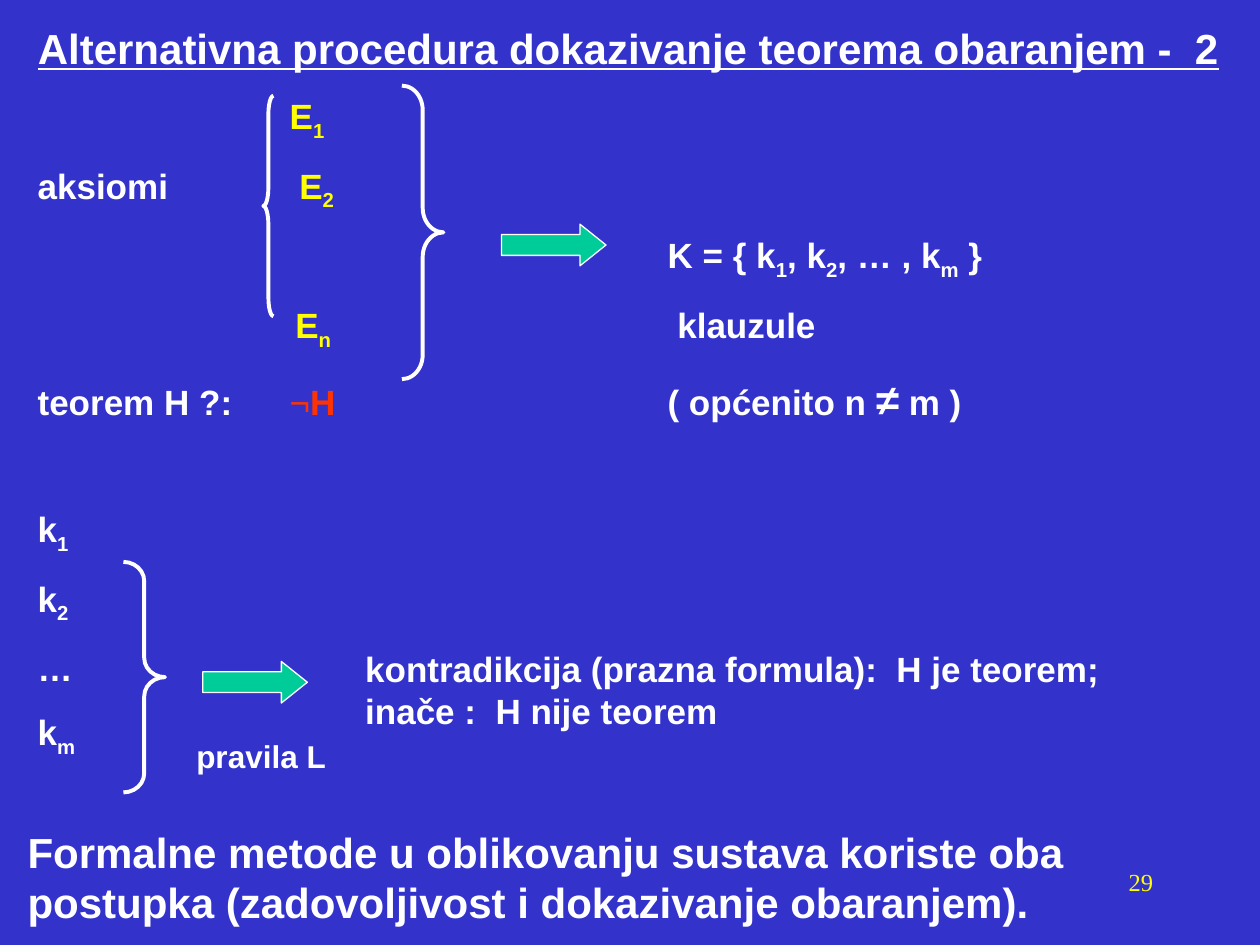
from lxml.etree import SubElement
from pptx import Presentation
from pptx.dml.color import RGBColor
from pptx.enum.shapes import MSO_SHAPE as Shape
from pptx.enum.text import MSO_ANCHOR as Anchor, PP_ALIGN as Align
from pptx.oxml.ns import qn
from pptx.util import Inches, Pt

BLUE = RGBColor(0x33, 0x33, 0xCC)
WHITE = RGBColor(0xFF, 0xFF, 0xFF)
YELLOW = RGBColor(0xFF, 0xFF, 0x00)
RED = RGBColor(0xFF, 0x33, 0x00)
GREEN = RGBColor(0x00, 0xCC, 0x99)


class SlideBuilder:
    font_name = "Arial"
    row_gap = Pt(12.5)

    def __init__(self, presentation):
        self.slide = presentation.slides.add_slide(presentation.slide_layouts[5])
        self.slide.background.fill.solid()
        self.slide.background.fill.fore_color.rgb = BLUE

    def format_run(self, run, size=20, color=WHITE, bold=True, name=font_name):
        run.font.name = name
        run.font.size = Pt(size)
        run.font.bold = bold
        run.font.color.rgb = color

    def title(self, text, left, top, width, height):
        title = self.slide.shapes.title
        title.left, title.top = Inches(left), Inches(top)
        title.width, title.height = Inches(width), Inches(height)
        title.text_frame.text = text
        title.text_frame.vertical_anchor = Anchor.TOP
        paragraph = title.text_frame.paragraphs[0]
        paragraph.alignment = Align.LEFT
        self.format_run(paragraph.runs[0], size=24)
        paragraph.runs[0].font.underline = True

    def text_box(self, left, top, width, height, wrap=True):
        box = self.slide.shapes.add_textbox(
            Inches(left), Inches(top), Inches(width), Inches(height))
        box.text_frame.word_wrap = wrap
        return box.text_frame

    def label(self, text, left, top, width, height, wrap=True, align=Align.LEFT, **style):
        frame = self.text_box(left, top, width, height, wrap)
        frame.text = text
        frame.paragraphs[0].alignment = align
        self.format_run(frame.paragraphs[0].runs[0], **style)

    def add_formula(self, paragraph, text, **style):
        """Add text in which an underscore makes the next character a subscript."""
        first, *others = text.split("_")
        pieces = [(first, False)]
        for part in others:
            pieces += [(part[0], True), (part[1:], False)]
        for piece, subscript in pieces:
            if piece:
                run = paragraph.add_run()
                run.text = piece
                self.format_run(run, **style)
                if subscript:
                    run.font._element.set("baseline", "-25000")

    def formula_rows(self, rows, tab_stops, left, top, width, height):
        frame = self.text_box(left, top, width, height)
        for index, (extra_gap, pieces) in enumerate(rows):
            paragraph = frame.add_paragraph() if index else frame.paragraphs[0]
            if index:
                paragraph.space_before = self.row_gap + Pt(extra_gap)
            tab_list = SubElement(paragraph._p.get_or_add_pPr(), qn("a:tabLst"))
            for stop in tab_stops:
                SubElement(tab_list, qn("a:tab"), pos=str(Inches(stop)), algn="l")
            for text, style in pieces:
                self.add_formula(paragraph, text, **style)

    def preset(self, kind, left, top, width, height, adjustments, line_width):
        shape = self.slide.shapes.add_shape(
            kind, Inches(left), Inches(top), Inches(width), Inches(height))
        shape.shadow.inherit = False
        for index, value in enumerate(adjustments):
            shape.adjustments[index] = value
        shape.line.color.rgb = WHITE
        shape.line.width = Pt(line_width)
        return shape

    def brace(self, kind, left, top, width, height):
        # Each curve takes a twelfth of the brace's height
        curve = height / width / 12
        self.preset(kind, left, top, width, height, (curve, 0.5), 2.25).fill.background()

    def arrow(self, left, top):
        shape = self.preset(Shape.RIGHT_ARROW, left, top, 0.83, 0.33, (0.5, 0.625), 0.75)
        shape.fill.solid()
        shape.fill.fore_color.rgb = GREEN


def main():
    presentation = Presentation()
    presentation.slide_width, presentation.slide_height = Inches(10), Inches(7.5)
    builder = SlideBuilder(presentation)

    builder.title("Alternativna procedura dokazivanje teorema obaranjem -  2",
                  0.2, 0.13, 9.61, 0.5)

    # Axioms, theorem and clauses: (extra space above, pieces of the row)
    plain, yellow, red = {}, {"color": YELLOW}, {"color": RED}
    rows = [
        (0, [("\t", plain), ("E_1", yellow)]),
        (0, [("aksiomi\t", plain), (" E_2", yellow)]),
        (0, [("\t\tK = { k_1, k_2, … , k_m }", plain)]),
        (0, [("\t_ ", plain), ("E_n", yellow), ("\t klauzule", plain)]),
        (0, [("teorem H ?:\t", plain), ("¬", {"color": RED, "bold": False}), ("H", red),
             ("\t( općenito n ", plain), ("≠", {"size": 24}), (" m )", plain)]),
        (35.5, [("k_1", plain)]),
        (0, [("k_2", plain)]),
        (0, [("…", plain)]),
        (0, [("k_m", plain)]),
    ]
    builder.formula_rows(rows, (2, 5), 0.2, 0.7, 9.61, 5.39)

    # Braces and arrows
    builder.brace(Shape.RIGHT_BRACE, 3.19, 0.68, 0.33, 2.33)
    builder.brace(Shape.LEFT_BRACE, 2.09, 0.76, 0.08, 1.75)
    builder.brace(Shape.RIGHT_BRACE, 0.98, 4.46, 0.33, 1.83)
    builder.arrow(3.98, 1.78)
    builder.arrow(1.61, 5.25)

    # Result and conclusion
    builder.label("pravila L", 1.46, 5.8, 1.23, 0.4, wrap=False, size=18)
    builder.label("kontradikcija (prazna formula):  H je teorem; inače :  H nije teorem",
                  2.8, 5.09, 6.38, 0.77)
    builder.label("Formalne metode u oblikovanju sustava koriste oba postupka "
                  "(zadovoljivost i dokazivanje obaranjem).",
                  0.12, 6.51, 9.61, 0.9, size=24)

    # Slide number
    builder.label("29", 7.17, 6.83, 2.08, 0.5, align=Align.RIGHT,
                  size=14, color=YELLOW, bold=False, name="Times New Roman")

    presentation.save("out.pptx")


if __name__ == "__main__":
    main()
